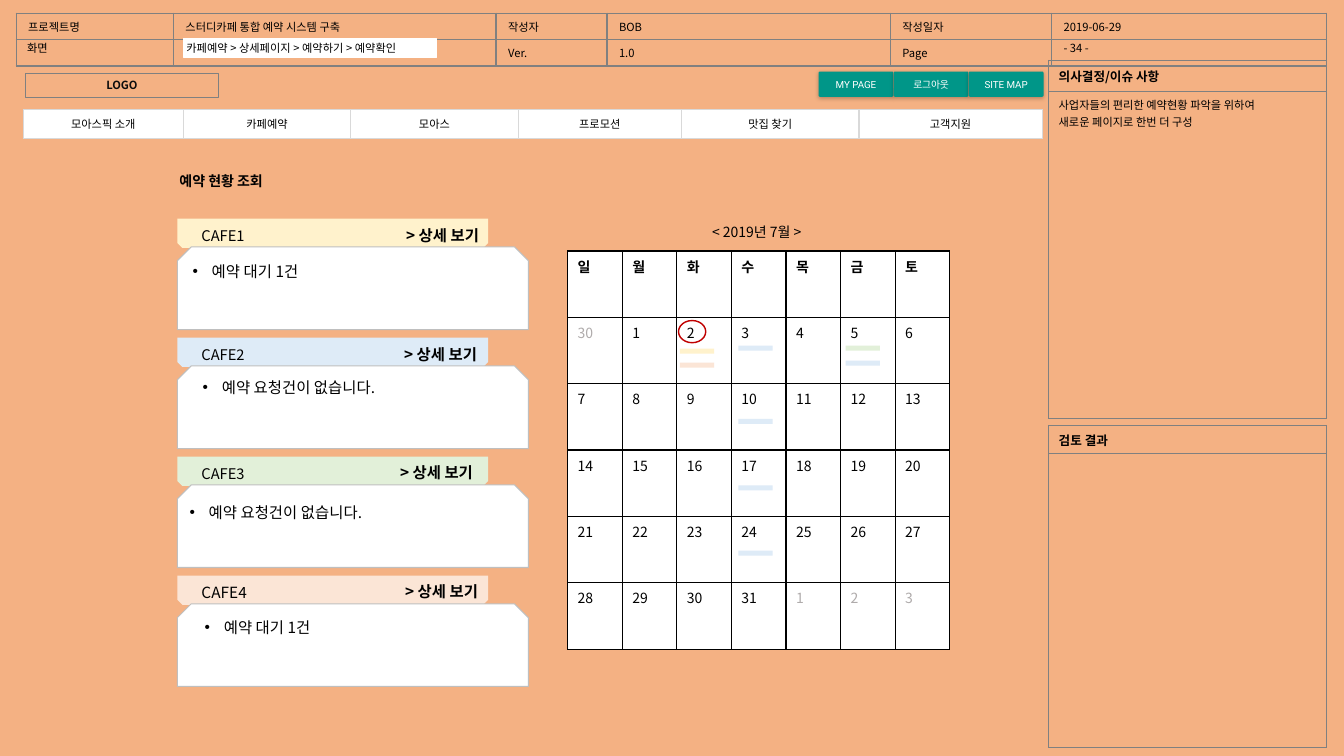
from lxml import etree
from pptx import Presentation
from pptx.dml.color import RGBColor
from pptx.enum.shapes import MSO_SHAPE
from pptx.enum.text import MSO_ANCHOR, MSO_AUTO_SIZE, PP_ALIGN
from pptx.oxml import parse_xml
from pptx.oxml.ns import nsdecls, qn
from pptx.util import Inches, Pt

LEFT, CENTER, RIGHT = PP_ALIGN.LEFT, PP_ALIGN.CENTER, PP_ALIGN.RIGHT
TOP, MIDDLE = MSO_ANCHOR.TOP, MSO_ANCHOR.MIDDLE
RECTANGLE, OVAL = MSO_SHAPE.RECTANGLE, MSO_SHAPE.OVAL
ROUNDED, SNIPPED = MSO_SHAPE.ROUNDED_RECTANGLE, MSO_SHAPE.SNIP_2_SAME_RECTANGLE

ORANGE = RGBColor(0xF4, 0xB1, 0x83)
BLACK = RGBColor(0, 0, 0)
NEAR_BLACK = RGBColor(0x0D, 0x0D, 0x0D)
WHITE = RGBColor(0xFF, 0xFF, 0xFF)
GRAY = RGBColor(0x80, 0x80, 0x80)
MUTED = RGBColor(0xAF, 0xAB, 0xAB)
CARD_EDGE = RGBColor(0xBF, 0xBF, 0xBF)
MENU_EDGE = RGBColor(0xD9, 0xD9, 0xD9)
RED = RGBColor(0xC0, 0, 0)
TEAL = RGBColor(0, 0x96, 0x88)
YELLOW = RGBColor(0xFF, 0xF2, 0xCC)
BLUE = RGBColor(0xDE, 0xEB, 0xF7)
GREEN = RGBColor(0xE2, 0xF0, 0xD9)
PEACH = RGBColor(0xFB, 0xE5, 0xD6)
KOREAN, LATIN = "Noto Sans CJK KR", "Roboto"

presentation = Presentation()
presentation.slide_width, presentation.slide_height = Inches(13.33), Inches(7.5)
slide = presentation.slides.add_slide(presentation.slide_layouts.get_by_name("Comparison"))
slide.background.fill.solid()
slide.background.fill.fore_color.rgb = ORANGE
shapes = slide.shapes


def write(frame, text, size, color=BLACK, bold=False, align=LEFT, anchor=TOP, name=KOREAN):
    """Fill a text frame or table cell, one paragraph per line, in one font."""
    frame.vertical_anchor = anchor
    text_frame = getattr(frame, "text_frame", frame)
    text_frame.word_wrap = True
    text_frame.text = text
    for paragraph in text_frame.paragraphs:
        paragraph.alignment = align
        paragraph.space_before = Pt(0)
        font = paragraph.font
        font.name, font.size, font.bold = name, Pt(size), bold
        font.color.rgb = color
        east_asian = etree.SubElement(paragraph._p.pPr.find(qn("a:defRPr")), qn("a:ea"))
        east_asian.set("typeface", name)
        if not text:
            end = etree.SubElement(paragraph._p, qn("a:endParaRPr"))
            end.set("sz", str(size * 100))


def add_box(kind, box, fill=None, line=None, width=0.75):
    shape = shapes.add_shape(kind, *map(Inches, box))
    shape.shadow.inherit = False
    if fill is None:
        shape.fill.background()
    else:
        shape.fill.solid()
        shape.fill.fore_color.rgb = fill
    if line is None:
        shape.line.fill.background()
    else:
        shape.line.color.rgb = line
        shape.line.width = Pt(width)
    return shape


# Tables: left, top, column widths, row heights, border, fill, side inset, rows of
# (text, size, color, bold, align, anchor)
header = [
    [(text, 8) for text in ("프로젝트명", "스터디카페 통합 예약 시스템 구축", "작성자", "BOB",
                            "작성일자", "2019-06-29")],
    [(text, 8) for text in ("", "", "Ver.", "1.0", "Page", "")],
]
issues = [
    [("의사결정/이슈 사항", 9, BLACK, True, LEFT, MIDDLE)],
    [("사업자들의 편리한 예약현황 파악을 위하여\n새로운 페이지로 한번 더 구성", 8)],
]
review = [[("검토 결과", 9, BLACK, True, LEFT, MIDDLE)], [("", 9)]]
menu = [[(text, 8, BLACK, False, CENTER, MIDDLE) for text in
         ("모아스픽 소개", "카페예약", "모아스", "프로모션", "맛집 찾기", "고객지원")]]
calendar = [[(day, 10, BLACK, True) for day in "일월화수목금토"]]
for week in range(5):
    numbers = range(week * 7, week * 7 + 7)
    calendar.append([(str((n - 1) % 31 + 1) if n else "30", 10,
                      BLACK if 1 <= n <= 31 else MUTED) for n in numbers])

CALENDAR_LEFT, CALENDAR_TOP = 5.63, 2.49
DAY_WIDTH, WEEK_HEIGHT = 3.79 / 7, 3.95 / 6
tables = [
    (0.16, 0.13, [1.56, 3.2, 1.1, 2.81, 1.6, 2.73], [0.24] * 2, GRAY, None, 0.12, header),
    (10.4, 0.6, [2.76], [0.31, 3.24], GRAY, None, 0.1, issues),
    (10.4, 4.22, [2.76], [0.28, 2.91], GRAY, None, 0.1, review),
    (0.23, 1.09, [1.59, 1.66, 1.66, 1.62, 1.76, 1.82], [0.28], MENU_EDGE, WHITE, 0.12, menu),
    (CALENDAR_LEFT, CALENDAR_TOP, [DAY_WIDTH] * 7, [WEEK_HEIGHT] * 6, BLACK, WHITE, 0.1, calendar),
]
for left, top, widths, heights, border, fill, inset, rows in tables:
    size = (sum(widths), sum(heights))
    table = shapes.add_table(len(rows), len(widths), *map(Inches, (left, top, *size))).table
    table.first_row = table.horz_banding = False
    for column, width in zip(table.columns, widths):
        column.width = Inches(width)
    for row, height, contents in zip(table.rows, heights, rows):
        row.height = Inches(height)
        for cell, content in zip(row.cells, contents):
            cell.margin_left = cell.margin_right = Inches(inset)
            write(cell, *content)
            if fill is None:
                cell.fill.background()
            else:
                cell.fill.solid()
                cell.fill.fore_color.rgb = fill
            for position, side in enumerate("LRTB"):
                cell._tc.tcPr.insert(position, parse_xml(
                    f'<a:ln{side} {nsdecls("a")} w="12700"><a:solidFill>'
                    f'<a:srgbClr val="{border}"/></a:solidFill></a:ln{side}>'))

# Title and logo
title = shapes.title
title.left, title.top, title.width, title.height = map(Inches, (1.68, 1.66, 1.43, 0.27))
write(title.text_frame, "예약 현황 조회", 10, bold=True)
title.text_frame.auto_size = MSO_AUTO_SIZE.NONE
logo = add_box(RECTANGLE, (0.25, 0.73, 1.92, 0.24), line=GRAY)
write(logo.text_frame, "LOGO", 8, NEAR_BLACK, True, CENTER)
add_box(RECTANGLE, (1.82, 0.38, 2.51, 0.19), WHITE, WHITE, 1)

# Cafe cards: name, name size, color, right edge of link, list left, list offset, status
CARD_TOP, CARD_PITCH = 2.17, 1.18
cafes = [
    ("CAFE1", 10.5, YELLOW, 4.85, 1.81, 0.38, "예약 대기 1건"),
    ("CAFE2", 10.5, BLUE, 4.83, 1.91, 0.35, "예약 요청건이 없습니다."),
    ("CAFE3", 10.5, GREEN, 4.79, 1.78, 0.41, "예약 요청건이 없습니다."),
    ("CAFE4", 11, PEACH, 4.84, 1.93, 0.37, "예약 대기 1건"),
]
labels = [
    ((1.75, 0.38, 2.62, 0.2), "카페예약 > 상세페이지 > 예약하기 > 예약확인", 8, BLACK, False, LEFT, MIDDLE),
    ((10.45, 0.36, 1.07, 0.24), "- 34 -", 8),
    ((0.17, 0.36, 0.6, 0.24), "화면", 8),
    ((6.72, 2.17, 1.57, 0.27), "< 2019년 7월 >", 10, BLACK, False, CENTER),
]
for index, (name, size, color, link_right, list_left, list_offset, status) in enumerate(cafes):
    top = CARD_TOP + CARD_PITCH * index
    add_box(SNIPPED, (1.76, top, 3.08, 0.29), color).rotation = 180
    add_box(SNIPPED, (1.76, top + 0.28, 3.48, 0.82), WHITE, CARD_EDGE)
    labels.append(((1.9, top + 0.03, 1.28, 0.29), name, size))
    labels.append(((link_right - 1.28, top + 0.02, 1.28, 0.29), "> 상세 보기", 11, BLACK, True, RIGHT))

    status_list = slide.placeholders[index + 1]
    status_list.left, status_list.top = Inches(list_left), Inches(top + list_offset)
    status_list.width, status_list.height = Inches(2.5), Inches(0.29)
    status_list.text_frame.auto_size = MSO_AUTO_SIZE.NONE
    write(status_list.text_frame, status, 11)
    properties = status_list.text_frame.paragraphs[0]._p.pPr
    properties.set("marL", str(Inches(0.19)))
    properties.set("indent", str(-Inches(0.19)))
    bullet = parse_xml(f'<a:buChar {nsdecls("a")} char="•"/>')
    properties.find(qn("a:defRPr")).addprevious(bullet)
    shapes.element.append(status_list.element)  # bring in front of its card

for box, *content in labels:
    write(shapes.add_textbox(*map(Inches, box)).text_frame, *content)

# Booking bars: week row, day column, offset in the day cell, color
bars = [
    (1, 2, 0.03, 0.31, YELLOW), (1, 2, 0.03, 0.45, PEACH), (1, 3, 0.07, 0.28, BLUE),
    (1, 5, 0.05, 0.28, GREEN), (1, 5, 0.05, 0.43, BLUE),
    (2, 3, 0.07, 0.35, BLUE), (3, 3, 0.07, 0.35, BLUE), (4, 3, 0.07, 0.34, BLUE),
]
for week, day, right, down, color in bars:
    add_box(RECTANGLE, (CALENDAR_LEFT + DAY_WIDTH * day + right,
                        CALENDAR_TOP + WEEK_HEIGHT * week + down, 0.34, 0.05), color)
add_box(OVAL, (6.73, 3.18, 0.27, 0.22), line=RED, width=1)

# Buttons
for index, text in enumerate(("MY PAGE", "로그아웃", "SITE MAP")):
    button = add_box(ROUNDED, (8.12 + 0.745 * index, 0.71, 0.74, 0.25), TEAL)
    button.adjustments[0] = 0.05
    button.text_frame.margin_left = button.text_frame.margin_right = Inches(0.08)
    write(button.text_frame, text, 7, WHITE, align=CENTER, anchor=MIDDLE, name=LATIN)
    button._element.spPr.find(qn("a:effectLst")).append(parse_xml(
        f'<a:outerShdw {nsdecls("a")} blurRad="{Pt(3)}" dist="{Pt(1)}" dir="5400000">'
        '<a:srgbClr val="000000"><a:alpha val="25000"/></a:srgbClr></a:outerShdw>'))

presentation.save("out.pptx")
